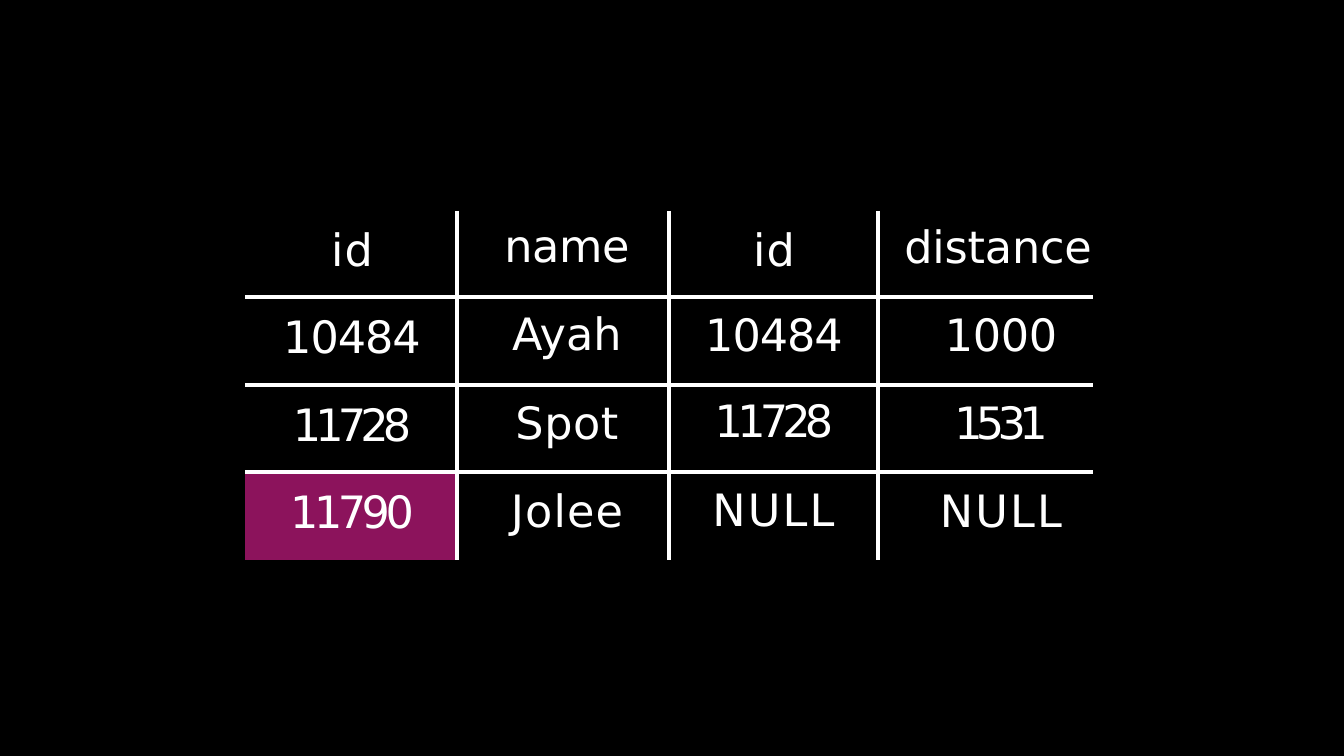
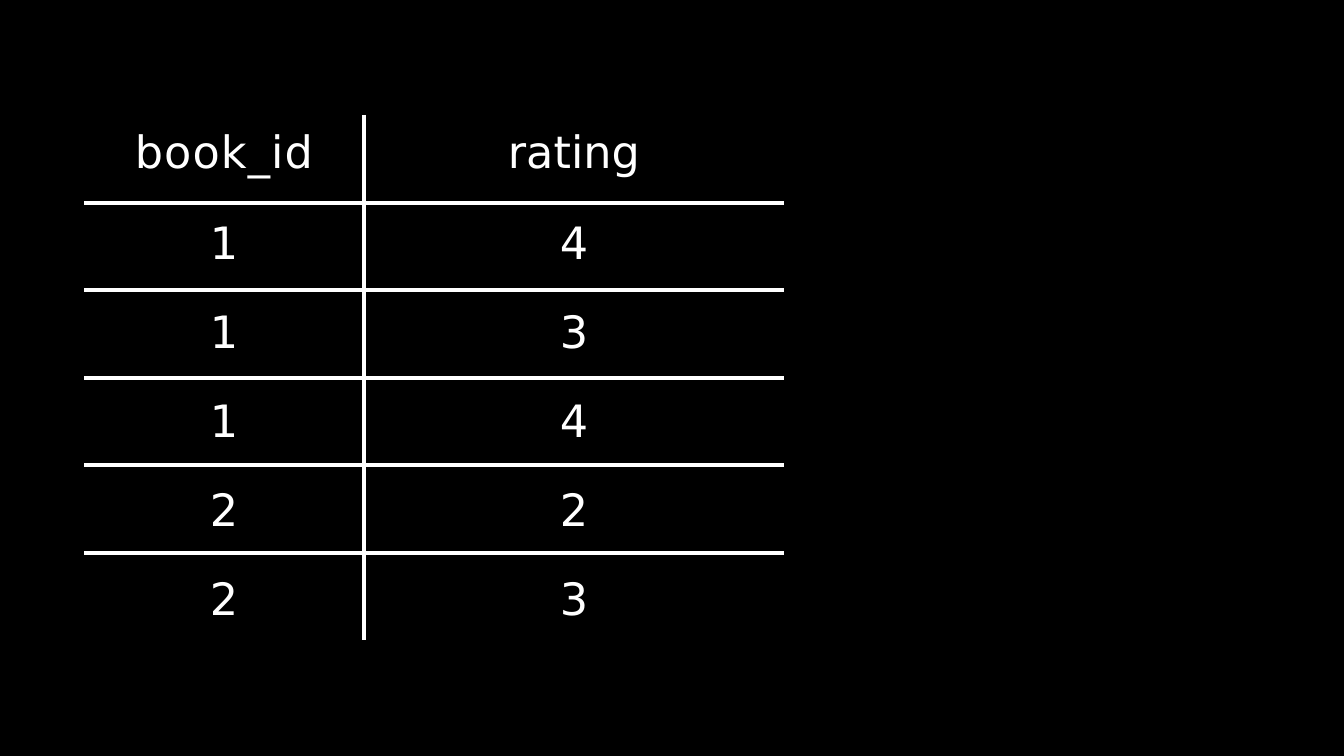
import pptx
import pptx.dml.color
import pptx.enum.text
import pptx.util
from lxml import etree

PX = 14965  # EMU in one px
BLACK, WHITE, PLUM = "000000", "FFFFFF", "8C135C"
FONT, FONT_SIZE, RULE_WIDTH = "DejaVu Sans", 52.5, 4.25
A = "{http://schemas.openxmlformats.org/drawingml/2006/main}"


def color(hex_string):
    return pptx.dml.color.RGBColor.from_string(hex_string)


def write_cell(cell, text, *, spacing=0, top=0, left=0, fill=BLACK, ruled=""):
    """Fill a cell with text; ruled names its drawn sides (L, R, T, B), spacing is in points."""
    cell.margin_left, cell.margin_top = left * PX, top * PX
    cell.margin_right = cell.margin_bottom = 0
    cell.fill.solid()
    cell.fill.fore_color.rgb = color(fill)

    paragraph = cell.text_frame.paragraphs[0]
    paragraph.alignment = pptx.enum.text.PP_ALIGN.CENTER
    run = paragraph.add_run()
    run.text = text
    run.font.name = FONT
    run.font.size = pptx.util.Pt(FONT_SIZE)
    run.font.color.rgb = color(WHITE)
    run._r.get_or_add_rPr().set("spc", str(round(spacing * 100)))

    properties = cell._tc.get_or_add_tcPr()
    for position, side in enumerate("LRTB"):
        border = etree.Element(A + "ln" + side)
        if side in ruled:
            border.set("w", str(pptx.util.Pt(RULE_WIDTH)))
            paint = etree.SubElement(border, A + "solidFill")
            etree.SubElement(paint, A + "srgbClr", val=WHITE)
        else:
            etree.SubElement(border, A + "noFill")
        properties.insert(position, border)


# Each cell: text, letter spacing in points, px from the row top, px from the column's left
joined_cells = [
    [("id", 1.6, 14, 2), ("name", -0.4, 10, 8), ("id", 1.6, 14, 1), ("distance", -0.2, 11, 25)],
    [("10484", -1.2, 15, 2), ("Ayah", 0.1, 12, 8), ("10484", -1.2, 13, 1), ("1000", -0.4, 13, 31)],
    [("11728", -6.8, 15, 2), ("Spot", 0.8, 13, 8), ("11728", -6.8, 11, 1), ("1531", -7.8, 13, 31)],
    [("11790", -5.3, 15, 2), ("Jolee", 1.4, 14, 8), ("NULL", 2.6, 13, 0), ("NULL", 2.6, 14, 31)],
]
ratings = [("1", "4", 15), ("1", "3", 17), ("1", "4", 18), ("2", "2", 20), ("2", "3", 21)]
rating_cells = [[("book_id", 1.4, 12, 0), ("rating", 0.1, 12, 0)]]
rating_cells += [[(book, 0, top, 0), (rating, 0, top, 0)] for book, rating, top in ratings]

# Each table: left, top, column widths, row heights, cells, highlighted (row, column)
tables = [
    (245, 211, [212, 212, 209, 215], [86, 88, 87, 88], joined_cells, (3, 0)),
    (84, 115, [280, 420], [88, 87] * 3, rating_cells, None),
]

prs = pptx.Presentation()
prs.slide_width, prs.slide_height = 1344 * PX, 756 * PX
backdrop = prs.slide_master.background.fill
backdrop.solid()
backdrop.fore_color.rgb = color(BLACK)

for left, top, widths, heights, cells, highlight in tables:
    slide = prs.slides.add_slide(prs.slide_layouts[6])
    table = slide.shapes.add_table(
        len(heights), len(widths), left * PX, top * PX, sum(widths) * PX, sum(heights) * PX
    ).table
    table.first_row = table.horz_banding = False
    for column, width in zip(table.columns, widths):
        column.width = width * PX
    for row, height in zip(table.rows, heights):
        row.height = height * PX

    for r, row_cells in enumerate(cells):
        for c, (text, spacing, drop, indent) in enumerate(row_cells):
            inner_sides = {
                "L": c > 0,
                "R": c < len(widths) - 1,
                "T": r > 0,
                "B": r < len(heights) - 1,
            }
            write_cell(
                table.cell(r, c),
                text,
                spacing=spacing,
                top=drop,
                left=indent,
                fill=PLUM if (r, c) == highlight else BLACK,
                ruled="".join(side for side, inner in inner_sides.items() if inner),
            )

prs.save("out.pptx")
